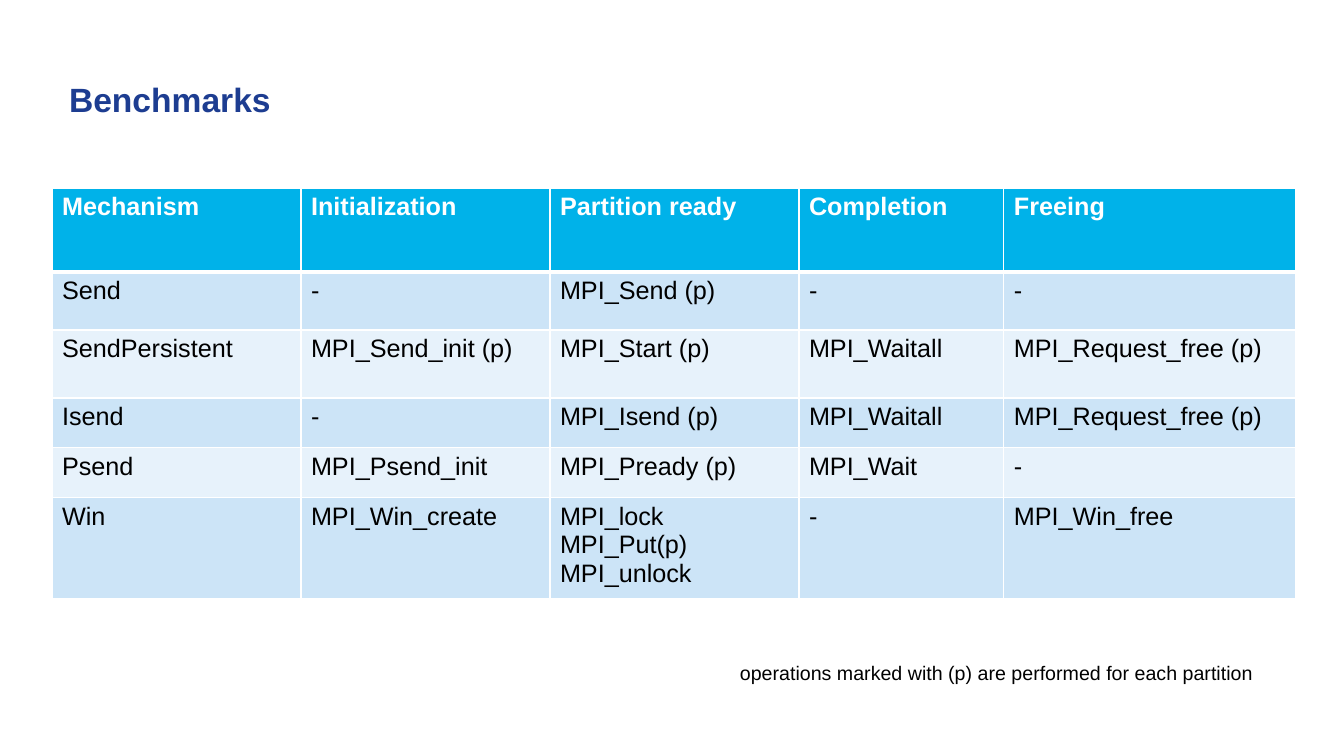
from lxml.etree import SubElement
from pptx import Presentation
from pptx.dml.color import RGBColor
from pptx.enum.text import MSO_ANCHOR as Anchor
from pptx.oxml.ns import qn
from pptx.util import Emu, Pt

EMU_PER_PX = 914400 / 100.8
FONT = "Arial"
NAVY = RGBColor(0x1D, 0x3D, 0x91)
CYAN = RGBColor(0x00, 0xB2, 0xE9)
BLUE_BAND = RGBColor(0xCC, 0xE4, 0xF7)
PALE_BAND = RGBColor(0xE7, 0xF2, 0xFB)
WHITE = RGBColor(0xFF, 0xFF, 0xFF)
BLACK = RGBColor(0x00, 0x00, 0x00)

COLUMN_WIDTHS = [249, 249, 249, 205, 292]
ROW_HEIGHTS = [84, 58, 68, 50, 50, 95]
BENCHMARKS = [
    ["Mechanism", "Initialization", "Partition ready", "Completion", "Freeing"],
    ["Send", "-", "MPI_Send (p)", "-", "-"],
    ["SendPersistent", "MPI_Send_init (p)", "MPI_Start (p)", "MPI_Waitall",
     "MPI_Request_free (p)"],
    ["Isend", "-", "MPI_Isend (p)", "MPI_Waitall", "MPI_Request_free (p)"],
    ["Psend", "MPI_Psend_init", "MPI_Pready (p)", "MPI_Wait", "-"],
    ["Win", "MPI_Win_create", "MPI_lock\nMPI_Put(p)\nMPI_unlock", "-", "MPI_Win_free"],
]


def px(length):
    return Emu(round(length * EMU_PER_PX))


def style_text(text_frame, size, color, bold=False):
    for paragraph in text_frame.paragraphs:
        font = paragraph.font
        font.name, font.size, font.bold = FONT, Pt(size), bold
        font.color.rgb = color


def set_borders(cell, widths):
    """Draw white borders; widths maps each side (L, R, T, B) to points."""
    properties = cell._tc.get_or_add_tcPr()
    for side, width in widths.items():
        line = SubElement(properties, qn(f"a:ln{side}"), w=str(Pt(width)))
        fill = SubElement(line, qn("a:solidFill"))
        SubElement(fill, qn("a:srgbClr"), val=str(WHITE))


def add_title(slide, left, top, width, height):
    text_frame = slide.shapes.add_textbox(px(left), px(top), px(width), px(height)).text_frame
    text_frame.word_wrap = True
    text_frame.vertical_anchor = Anchor.BOTTOM
    text_frame.margin_left = text_frame.margin_right = 0
    text_frame.margin_top = text_frame.margin_bottom = 0
    text_frame.text = "Benchmarks"
    text_frame.paragraphs[0].line_spacing = 0.9
    style_text(text_frame, 24, NAVY, bold=True)


def add_benchmark_table(slide, left, top):
    table = slide.shapes.add_table(
        len(ROW_HEIGHTS), len(COLUMN_WIDTHS), px(left), px(top),
        px(sum(COLUMN_WIDTHS)), px(sum(ROW_HEIGHTS))).table
    for column, width in zip(table.columns, COLUMN_WIDTHS):
        column.width = px(width)
    for row, height in zip(table.rows, ROW_HEIGHTS):
        row.height = px(height)

    for row_index, texts in enumerate(BENCHMARKS):
        is_header = row_index == 0
        band = BLUE_BAND if row_index % 2 else PALE_BAND
        # The rule under the header is thicker than the rest
        borders = {"L": 1, "R": 1, "T": 3 if row_index == 1 else 1, "B": 3 if is_header else 1}
        for column_index, text in enumerate(texts):
            cell = table.cell(row_index, column_index)
            cell.text = text
            style_text(cell.text_frame, 18, WHITE if is_header else BLACK, bold=is_header)
            set_borders(cell, borders)
            cell.fill.solid()
            cell.fill.fore_color.rgb = CYAN if is_header else band


def add_footnote(slide, left, top, width, height):
    text_frame = slide.shapes.add_textbox(px(left), px(top), px(width), px(height)).text_frame
    text_frame.word_wrap = True
    text_frame.text = "operations marked with (p) are performed for each partition"
    style_text(text_frame, 14, BLACK)


def main():
    presentation = Presentation()
    presentation.slide_width, presentation.slide_height = px(1344), px(756)
    slide = presentation.slides.add_slide(presentation.slide_layouts[6])
    add_title(slide, 69, 52, 889, 68)
    add_benchmark_table(slide, 52, 188)
    add_footnote(slide, 730, 656, 558, 33)
    presentation.save("out.pptx")


if __name__ == "__main__":
    main()
